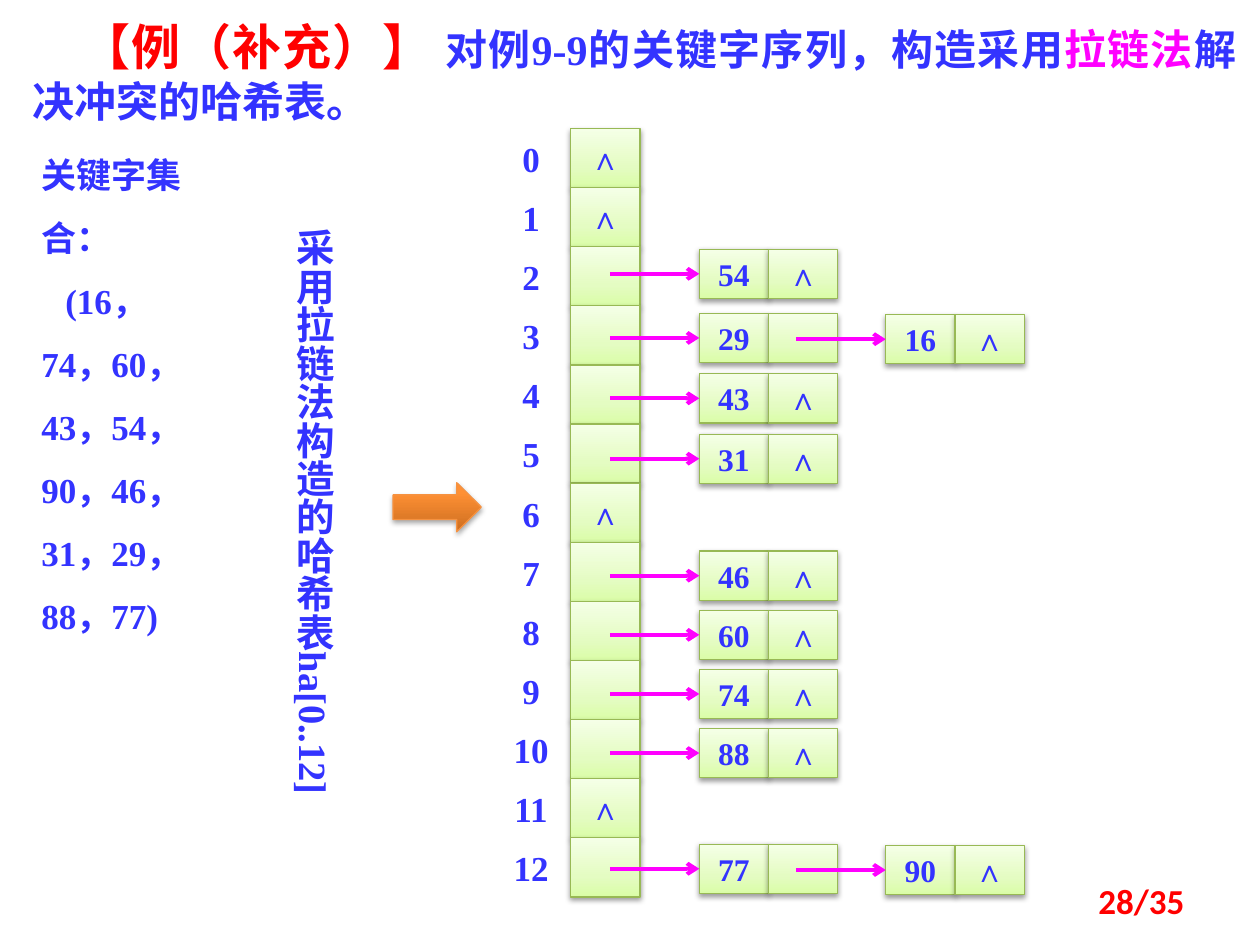
from dataclasses import dataclass
from typing import NamedTuple

from lxml import etree
from pptx import Presentation
from pptx import util as u
from pptx.dml.color import RGBColor
from pptx.enum import shapes, text
from pptx.oxml import parse_xml
from pptx.oxml.ns import nsdecls, qn


@dataclass(frozen=True)
class Look:
    stops: tuple
    line: str
    shadow_alpha: int
    shadow_dist: float


@dataclass(frozen=True)
class Theme:
    serif: str = "Times New Roman"
    sans: str = "Calibri"
    blue: str = "3333FF"
    red: str = "FF0000"
    magenta: str = "FF00FF"
    heading: int = 28
    lead: int = 24
    side: int = 22
    body: int = 20
    cell: int = 18
    green: Look = Look(((0, "DAFDA7"), (35, "E4FCC2"), (100, "F5FFE7")), "98B955", 38, 1.6)
    orange: Look = Look(((0, "CC6E20"), (80, "FF9034"), (100, "FF9136")), "F69240", 35, 1.8)


@dataclass(frozen=True)
class Grid:
    top: float = 1.02
    pitch: float = 5.63 / 12
    index_x: float = 3.98
    slot_x: float = 4.53
    chain_x: float = 5.55
    chain_step: float = 1.48
    cell_w: float = 0.55
    node_h: float = 0.39
    link_len: float = 0.71

    def row(self, n: int) -> float:
        return self.top + n * self.pitch

    def chain(self, n: int) -> float:
        return self.chain_x + n * self.chain_step


class Box(NamedTuple):
    x: float
    y: float
    w: float
    h: float


class Bucket(NamedTuple):
    keys: tuple = ()
    drop: float = 0.07


T = Theme()
G = Grid()
WIDTH, HEIGHT = 10, 7.5
NIL = "∧"
BUCKETS = (
    Bucket(), Bucket(), Bucket((54,), 0.02), Bucket((29, 16), 0.06), Bucket((43,)),
    Bucket((31,), 0.08), Bucket(), Bucket((46,)), Bucket((60,)), Bucket((74,)),
    Bucket((88,)), Bucket(), Bucket((77, 90), 0.05),
)


def share(x: float, y: float, w: float, h: float) -> Box:
    return Box(x * WIDTH / 100, y * HEIGHT / 100, w * WIDTH / 100, h * HEIGHT / 100)


def emu(box: Box) -> list:
    return [u.Inches(v) for v in box]


def add_run(p, content: str, size: int, color: str = T.blue, font: str = T.serif) -> None:
    r = p.add_run()
    r.text = content
    set_format(r.font, name=font, size=u.Pt(size), bold=True)
    r.font.color.rgb = RGBColor.from_string(color)


def set_format(target, **values) -> None:
    for name, value in values.items():
        setattr(target, name, value)


def add_text(s, box: Box, content: str, size: int, align, color: str = T.blue,
             font: str = T.serif, **frame):
    tf = s.shapes.add_textbox(*emu(box)).text_frame
    set_format(tf, word_wrap=True, **frame)
    p = tf.paragraphs[0]
    p.alignment = align
    add_run(p, content, size, color, font)
    return tf


def add_block(s, kind, box: Box, look: Look, label: str = "") -> None:
    sp = s.shapes.add_shape(kind, *emu(box))
    sp.line.color.rgb = RGBColor.from_string(look.line)
    sp.line.width = u.Pt(0.75)
    sp.fill.gradient()
    sp.fill.gradient_angle = 90
    stops = sp._element.spPr.find(".//" + qn("a:gsLst"))
    for old in list(stops):
        stops.remove(old)
    for pos, color in look.stops:
        gs = etree.SubElement(stops, qn("a:gs"), pos=str(pos * 1000))
        etree.SubElement(gs, qn("a:srgbClr"), val=color)
    sp.shadow.inherit = False
    sp._element.spPr.find(qn("a:effectLst")).append(parse_xml(
        f'<a:outerShdw {nsdecls("a")} blurRad="{u.Pt(3.1)}" dist="{u.Pt(look.shadow_dist)}" '
        f'dir="5400000" rotWithShape="0"><a:srgbClr val="000000">'
        f'<a:alpha val="{look.shadow_alpha * 1000}"/></a:srgbClr></a:outerShdw>'))
    if label:
        tf = sp.text_frame
        tf.vertical_anchor = text.MSO_ANCHOR.MIDDLE
        tf.paragraphs[0].alignment = text.PP_ALIGN.CENTER
        add_run(tf.paragraphs[0], label, T.cell)


def add_cell(s, x: float, y: float, h: float, label: str) -> None:
    add_block(s, shapes.MSO_SHAPE.RECTANGLE, Box(x, y, G.cell_w, h), T.green, label)


def add_link(s, end_x: float, y: float) -> None:
    ends = emu(Box(end_x - G.link_len, y, end_x, y))
    line = s.shapes.add_connector(shapes.MSO_CONNECTOR.STRAIGHT, *ends)
    line.line.color.rgb = RGBColor.from_string(T.magenta)
    line.line.width = u.Pt(2.25)
    etree.SubElement(line.line._get_or_add_ln(), qn("a:tailEnd"), type="arrow")
    etree.SubElement(line._element.spPr, qn("a:effectLst"))


def add_slot(s, index: int, bucket: Bucket) -> None:
    y = G.row(index)
    add_cell(s, G.slot_x, y, G.pitch, "" if bucket.keys else NIL)
    add_text(s, Box(G.index_x, y + 0.07, 0.47, 0.34), str(index), T.body,
             text.PP_ALIGN.CENTER, margin_left=0, margin_right=0, margin_top=0, margin_bottom=0)


def add_chain(s, index: int, bucket: Bucket) -> None:
    for n, key in enumerate(bucket.keys):
        x, y = G.chain(n), G.row(index) + bucket.drop + n * 0.01
        add_cell(s, x, y, G.node_h, str(key))
        add_cell(s, x + G.cell_w, y, G.node_h, NIL if n == len(bucket.keys) - 1 else "")
        add_link(s, x, y + G.node_h / 2)


def add_title(s) -> None:
    sp = s.shapes.title
    set_format(sp, **dict(zip(("left", "top", "width", "height"), emu(share(1.6, 1.07, 96.9, 13.07)))))
    tf = sp.text_frame
    set_format(tf, word_wrap=True, vertical_anchor=text.MSO_ANCHOR.TOP,
               auto_size=text.MSO_AUTO_SIZE.NONE, margin_right=u.Inches(0.04))
    p = tf.paragraphs[0]
    p.alignment = text.PP_ALIGN.JUSTIFY
    p._p.get_or_add_pPr().set("indent", str(u.Pt(28)))
    add_run(p, "【例（补充）】 ", T.heading, T.red)
    add_run(p, "对例9-9的关键字序列，构造采用", T.lead)
    add_run(p, "拉链法", T.lead, T.magenta)
    add_run(p, "解决冲突的哈希表。", T.lead)


def add_keys(s) -> None:
    tf = add_text(s, share(2.3, 13.33, 18, 35.07), "关键字集合：", T.body, text.PP_ALIGN.LEFT)
    tf.paragraphs[0]._p.get_or_add_pPr().set("marR", str(u.Inches(0.3)))
    p = tf.add_paragraph()
    p._p.get_or_add_pPr().set("indent", str(u.Inches(0.19)))
    add_run(p, "(16，74，60，43，54，90，46，31，29，88，77)", T.body)
    for p in tf.paragraphs:
        p.line_spacing = 1.5


def main() -> None:
    prs = Presentation()
    prs.slide_width, prs.slide_height = u.Inches(WIDTH), u.Inches(HEIGHT)
    s = prs.slides.add_slide(prs.slide_layouts[5])
    add_title(s)
    side = add_text(s, share(21.6, 22.93, 5.7, 68.8), "采用拉链法构造的哈希表ha[0..12]",
                    T.side, text.PP_ALIGN.CENTER)
    side._txBody.bodyPr.set("vert", "eaVert")
    for draw in (add_slot, add_chain):
        for index, bucket in enumerate(BUCKETS):
            draw(s, index, bucket)
    add_block(s, shapes.MSO_SHAPE.RIGHT_ARROW, share(31.2, 51.07, 7, 5.2), T.orange)
    add_keys(s)
    add_text(s, share(71.7, 92.67, 23.3, 5.33), "28/35", T.body, text.PP_ALIGN.RIGHT,
             T.red, T.sans, vertical_anchor=text.MSO_ANCHOR.MIDDLE)
    prs.save("out.pptx")


if __name__ == "__main__":
    main()
